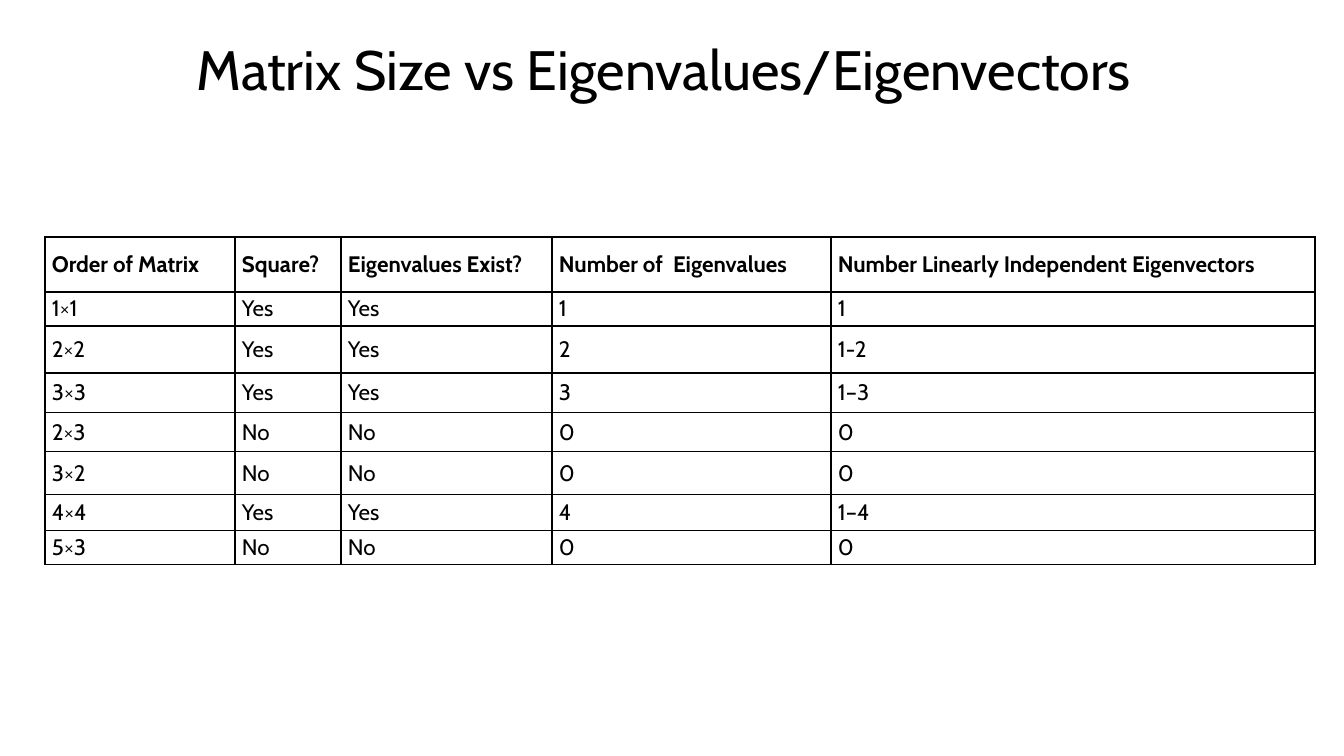
from lxml.etree import SubElement
from pptx import Presentation
from pptx.dml.color import RGBColor
from pptx.enum.text import MSO_ANCHOR, PP_ALIGN
from pptx.oxml.ns import qn
from pptx.util import Pt

EMU_PER_PX = 914400 / 100.8
FONT = "Cabin"
BLACK = "000000"

COLUMN_WIDTHS = [190, 106, 211, 279, 484]
ROW_HEIGHTS = [55, 34, 47, 40, 39, 43, 36, 34]
HEADINGS = [
    "Order of Matrix",
    "Square?",
    "Eigenvalues Exist?",
    "Number of  Eigenvalues",
    "Number Linearly Independent Eigenvectors",
]
MATRICES = [
    ("1×1", "Yes", "Yes", "1", "1"),
    ("2×2", "Yes", "Yes", "2", "1-2"),
    ("3×3", "Yes", "Yes", "3", "1–3"),
    ("2×3", "No", "No", "0", "0"),
    ("3×2", "No", "No", "0", "0"),
    ("4×4", "Yes", "Yes", "4", "1–4"),
    ("5×3", "No", "No", "0", "0"),
]


def px(length):
    return round(length * EMU_PER_PX)


def color(hex_code):
    return RGBColor.from_string(hex_code)


def add_run(paragraph, text, size, bold=False):
    run = paragraph.add_run()
    run.text = text
    run.font.name = FONT
    run.font.size = Pt(size)
    run.font.bold = bold
    run.font.color.rgb = color(BLACK)


def add_title(slide, text, left, top, width, height):
    title = slide.shapes.add_textbox(px(left), px(top), px(width), px(height))
    frame = title.text_frame
    frame.word_wrap = True
    frame.vertical_anchor = MSO_ANCHOR.MIDDLE
    heading = frame.paragraphs[0]
    heading.alignment = PP_ALIGN.CENTER
    heading.line_spacing = 0.9
    add_run(heading, text, 39.6)


def draw_borders(cell):
    properties = cell._tc.get_or_add_tcPr()
    for side in ("lnL", "lnR", "lnT", "lnB"):
        border = SubElement(properties, qn(f"a:{side}"), w=str(Pt(1)))
        fill = SubElement(border, qn("a:solidFill"))
        SubElement(fill, qn("a:srgbClr"), val=BLACK)


def fill_cell(cell, text, bold):
    cell.margin_left = cell.margin_right = px(7)
    cell.margin_top = cell.margin_bottom = px(3)
    cell.vertical_anchor = MSO_ANCHOR.MIDDLE
    draw_borders(cell)
    cell.fill.background()
    add_run(cell.text_frame.paragraphs[0], text, 16, bold)


def add_grid(slide, rows, left, top):
    """Add a bordered table whose first row is bold."""
    table = slide.shapes.add_table(
        len(rows), len(COLUMN_WIDTHS), px(left), px(top),
        px(sum(COLUMN_WIDTHS)), px(sum(ROW_HEIGHTS)),
    ).table
    table.first_row = False
    table.horz_banding = False
    for column, width in zip(table.columns, COLUMN_WIDTHS):
        column.width = px(width)
    for row, height in zip(table.rows, ROW_HEIGHTS):
        row.height = px(height)
    for row_index, texts in enumerate(rows):
        for column_index, text in enumerate(texts):
            fill_cell(table.cell(row_index, column_index), text, bold=row_index == 0)


def main():
    deck = Presentation()
    deck.slide_width = px(1344)
    deck.slide_height = px(756)
    slide = deck.slides.add_slide(deck.slide_layouts[6])
    add_title(slide, "Matrix Size vs Eigenvalues/Eigenvectors ", 35, 40, 1270, 64)
    add_grid(slide, [HEADINGS, *MATRICES], 45, 237)
    deck.save("out.pptx")


if __name__ == "__main__":
    main()
